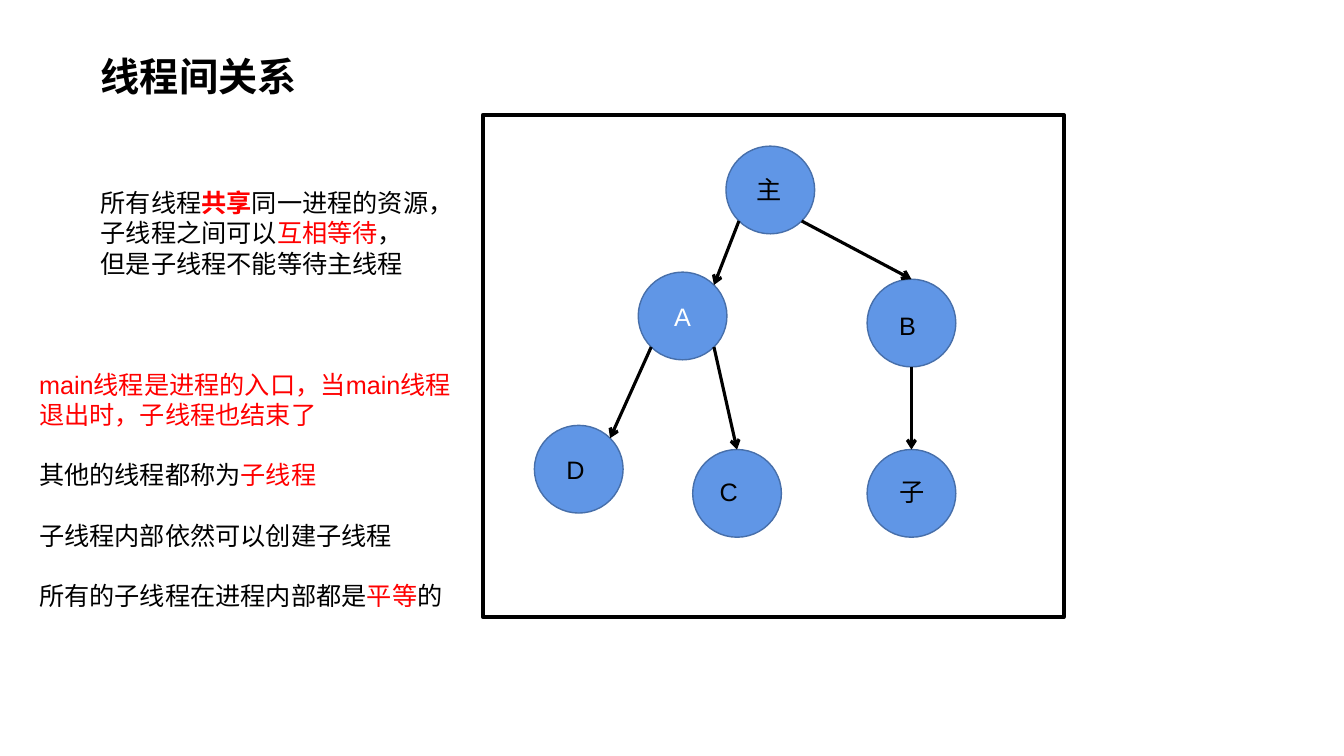
import math
import lxml.etree
import pptx
import pptx.dml.color
import pptx.enum.shapes
import pptx.enum.text
import pptx.oxml.ns
import pptx.util

INCH = pptx.util.Inches
PT = pptx.util.Pt
QN = pptx.oxml.ns.qn
KIND = pptx.enum.shapes.MSO_SHAPE
ALIGN = pptx.enum.text.PP_ALIGN
ANCHOR = pptx.enum.text.MSO_ANCHOR
FIT = pptx.enum.text.MSO_AUTO_SIZE

BLACK, WHITE, RED = "000000", "FFFFFF", "FF0000"
BLUE, EDGE = "6096E6", "476FAA"
WIDE, HIGH = 0.88, 0.87


def tint(code):
    return pptx.dml.color.RGBColor.from_string(code)


def write(frame, text, size=18, color=BLACK, bold=False, strong="",
          align=ALIGN.LEFT, gap=0):
    """Text between bars is red; each line is a paragraph."""
    for i, line in enumerate(text.split("\n")):
        para = frame.paragraphs[0] if i == 0 else frame.add_paragraph()
        para.alignment = align
        para.space_before = PT(gap if i else 0)
        for j, part in enumerate(line.split("|")):
            if not part:
                continue
            run = para.add_run()
            run.text = part
            font = run.font
            font.name = "Arial"
            font.size = PT(size)
            font.bold = bold or part == strong
            font.color.rgb = tint(RED if j % 2 else color)


class Deck:
    def __init__(self):
        self.file = pptx.Presentation()
        self.file.slide_width = INCH(13.33)
        self.file.slide_height = INCH(7.5)
        self.slide = self.file.slides.add_slide(self.file.slide_layouts[5])

    def title(self, text, x, y, w, h):
        box = self.slide.shapes.title
        box.left, box.top, box.width, box.height = map(INCH, (x, y, w, h))
        frame = box.text_frame
        frame.word_wrap = False
        frame.auto_size = FIT.SHAPE_TO_FIT_TEXT
        frame.vertical_anchor = ANCHOR.TOP
        write(frame, text, size=28, bold=True)

    def shape(self, kind, x, y, w, h, fill, edge, width):
        item = self.slide.shapes.add_shape(kind, *map(INCH, (x, y, w, h)))
        item.shadow.inherit = False
        item.fill.solid()
        item.fill.fore_color.rgb = tint(fill)
        item.line.color.rgb = tint(edge)
        item.line.width = PT(width)
        return item

    def node(self, x, y):
        return self.shape(KIND.OVAL, x, y, WIDE, HIGH, BLUE, EDGE, 1)

    def text(self, text, x, y, w, h, wrap=True, **style):
        box = self.slide.shapes.add_textbox(*map(INCH, (x, y, w, h)))
        frame = box.text_frame
        frame.word_wrap = wrap
        frame.auto_size = FIT.SHAPE_TO_FIT_TEXT
        write(frame, text, **style)

    def arrow(self, start, end):
        item = self.slide.shapes.add_connector(
            pptx.enum.shapes.MSO_CONNECTOR.STRAIGHT,
            *map(INCH, (*start, *end)))
        item.line.color.rgb = tint(BLACK)
        item.line.width = PT(2.25)
        props = item.element.spPr
        lxml.etree.SubElement(props.find(QN("a:ln")), QN("a:tailEnd"), type="arrow")
        lxml.etree.SubElement(props, QN("a:effectLst"))


def rim(spot, angle):
    turn = math.radians(angle)
    return (spot[0] + WIDE / 2 * (1 + math.cos(turn)),
            spot[1] + HIGH / 2 * (1 + math.sin(turn)))


def main():
    deck = Deck()
    deck.title("线程间关系", 0.9, 0.47, 2.17, 0.57)
    deck.shape(KIND.RECTANGLE, 4.79, 1.14, 5.76, 4.98, WHITE, BLACK, 3)

    spots = {"主": (7.2, 1.45), "A": (6.33, 2.7), "B": (8.6, 2.77),
             "D": (5.3, 4.22), "C": (6.87, 4.46), "子": (8.6, 4.46)}
    nodes = {name: deck.node(*spot) for name, spot in spots.items()}
    frame = nodes["A"].text_frame
    frame.vertical_anchor = ANCHOR.MIDDLE
    write(frame, "A", color=WHITE, align=ALIGN.CENTER)

    top, right, left, base = 270, 45, 135, 90
    for head, out, tail, into in [("主", left, "A", -45), ("A", left, "D", -45),
                                  ("B", base, "子", top), ("主", right, "B", top),
                                  ("A", right, "C", top)]:
        deck.arrow(rim(spots[head], out), rim(spots[tail], into))

    for name, x, y in [("主", 7.41, 1.68), ("B", 8.82, 3.03), ("子", 8.82, 4.68),
                       ("C", 7.04, 4.68), ("D", 5.52, 4.46)]:
        deck.text(name, x, y, 0.46, 0.4)

    deck.text("所有线程|共享|同一进程的资源，\n"
              "子线程之间可以|互相等待|，\n"
              "但是子线程不能等待主线程",
              0.9, 1.81, 3.7, 1.01, wrap=False, strong="共享")
    deck.text("|main线程是进程的入口，当main线程退出时，子线程也结束了|\n"
              "其他的线程都称为|子线程|\n"
              "子线程内部依然可以创建子线程\n"
              "所有的子线程在进程内部都是|平等|的",
              0.29, 3.61, 4.34, 2.52, gap=21.6)
    deck.file.save("out.pptx")


if __name__ == "__main__":
    main()
